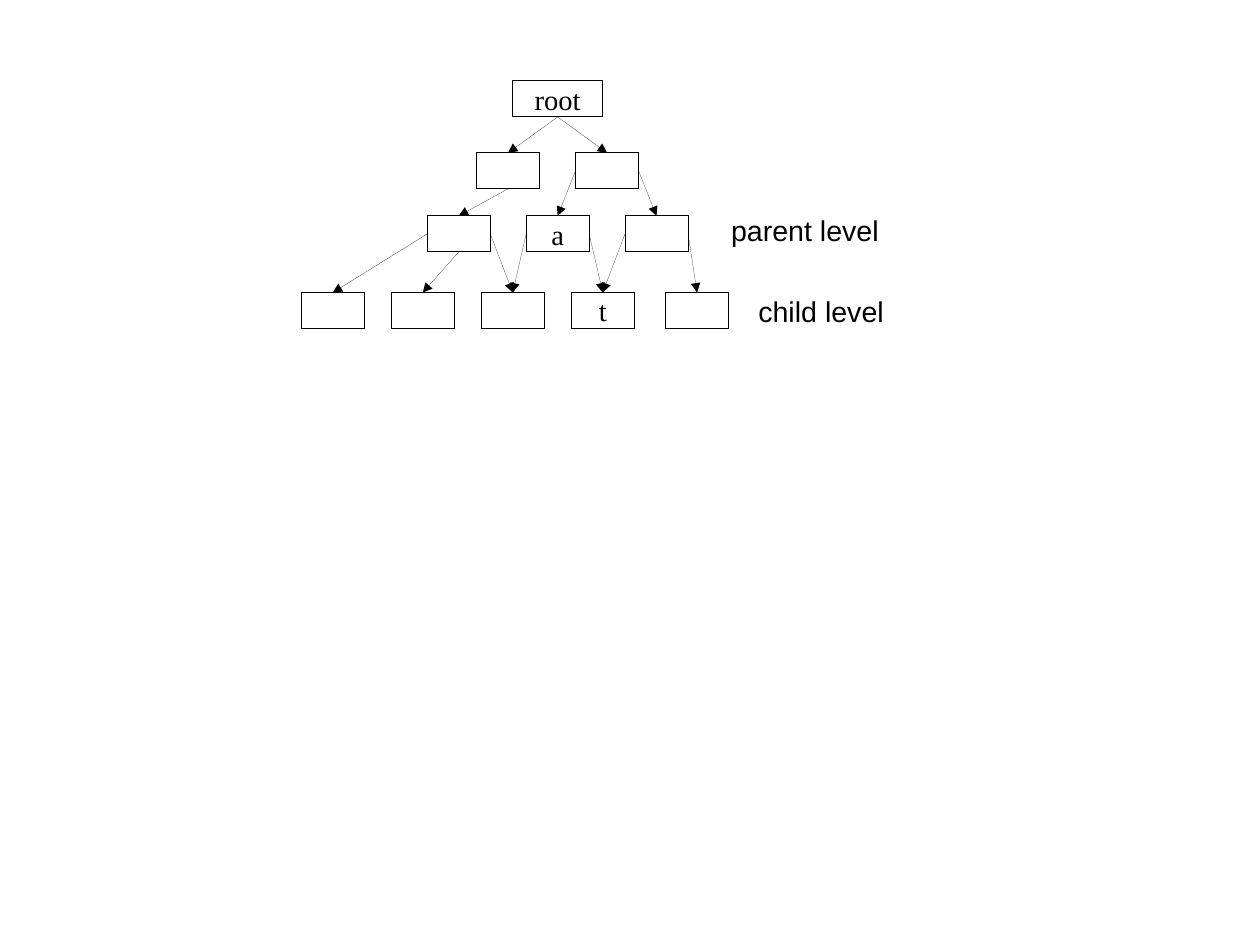
import pptx
import pptx.util
import pptx.dml.color
import pptx.enum.shapes
import pptx.enum.text
import pptx.oxml.ns
from lxml import etree

Pt = pptx.util.Pt
BLACK = pptx.dml.color.RGBColor(0, 0, 0)
WHITE = pptx.dml.color.RGBColor(255, 255, 255)

TOP, LEFT, BASE, RIGHT = range(4)  # connection sites of a rectangle
NODE_W, NODE_H, ROOT_W = 39.7, 22.68, 56.7
HAIR = Pt(0.01)  # a width of zero would fall back to the theme's line

# Each level: top, then the centre and text of every node
LEVELS = [
    (0, [(161.5, "root")]),
    (45.3, [(130.2, ""), (192.6, "")]),
    (85, [(99.2, ""), (161.5, "a"), (223.8, "")]),
    (133.3, [(19.8, ""), (76.5, ""), (133.2, ""), (189.9, "t"), (249.3, "")]),
]
# Each edge: level and place of the parent, site it leaves, place of the child
EDGES = [
    (0, 0, BASE, 0), (0, 0, BASE, 1),
    (1, 0, BASE, 0), (1, 1, LEFT, 1), (1, 1, RIGHT, 2),
    (2, 0, LEFT, 0), (2, 0, BASE, 1), (2, 0, RIGHT, 2),
    (2, 1, LEFT, 2), (2, 1, RIGHT, 3),
    (2, 2, LEFT, 3), (2, 2, RIGHT, 4),
]


def write(frame, text, font):
    run = frame.paragraphs[0].add_run()
    run.text = text
    run.font.name = font
    run.font.size = Pt(18)
    run.font.color.rgb = BLACK


def add_node(slide, mid, top, width, text):
    node = slide.shapes.add_shape(
        pptx.enum.shapes.MSO_SHAPE.RECTANGLE,
        Pt(mid - width / 2), Pt(top), Pt(width), Pt(NODE_H))
    node.shadow.inherit = False
    node.fill.solid()
    node.fill.fore_color.rgb = WHITE
    node.line.color.rgb = BLACK
    node.line.width = HAIR
    if text:
        frame = node.text_frame
        frame.vertical_anchor = pptx.enum.text.MSO_ANCHOR.MIDDLE
        frame.paragraphs[0].alignment = pptx.enum.text.PP_ALIGN.CENTER
        write(frame, text, "Times New Roman")
    return node


def add_edge(slide, parent, site, child):
    edge = slide.shapes.add_connector(
        pptx.enum.shapes.MSO_CONNECTOR.STRAIGHT, 0, 0, 0, 0)
    edge.begin_connect(parent, site)
    edge.end_connect(child, TOP)
    edge.line.color.rgb = BLACK
    edge.line.width = HAIR
    props = edge._element.spPr
    qn = pptx.oxml.ns.qn
    etree.SubElement(props.find(qn("a:ln")), qn("a:tailEnd"), type="triangle")
    etree.SubElement(props, qn("a:effectLst"))


def add_tree(slide, left, top):
    tree = []
    for drop, row in LEVELS:
        tree.append([
            add_node(slide, left + mid, top + drop,
                     ROOT_W if text == "root" else NODE_W, text)
            for mid, text in row])
    for level, parent, site, child in EDGES:
        add_edge(slide, tree[level][parent], site, tree[level + 1][child])


def add_label(slide, left, top, text):
    label = slide.shapes.add_textbox(Pt(left), Pt(top), Pt(187), Pt(47.5))
    label.text_frame.word_wrap = True
    write(label.text_frame, text, "Arial")


def main():
    deck = pptx.Presentation()
    deck.slide_width, deck.slide_height = Pt(793.7), Pt(595.28)
    slide = deck.slides.add_slide(deck.slide_layouts[6])
    add_tree(slide, 189.8, 51)
    add_label(slide, 453.4, 130.4, "parent level")
    add_label(slide, 470.6, 181.4, "child level")
    deck.save("out.pptx")


if __name__ == "__main__":
    main()
